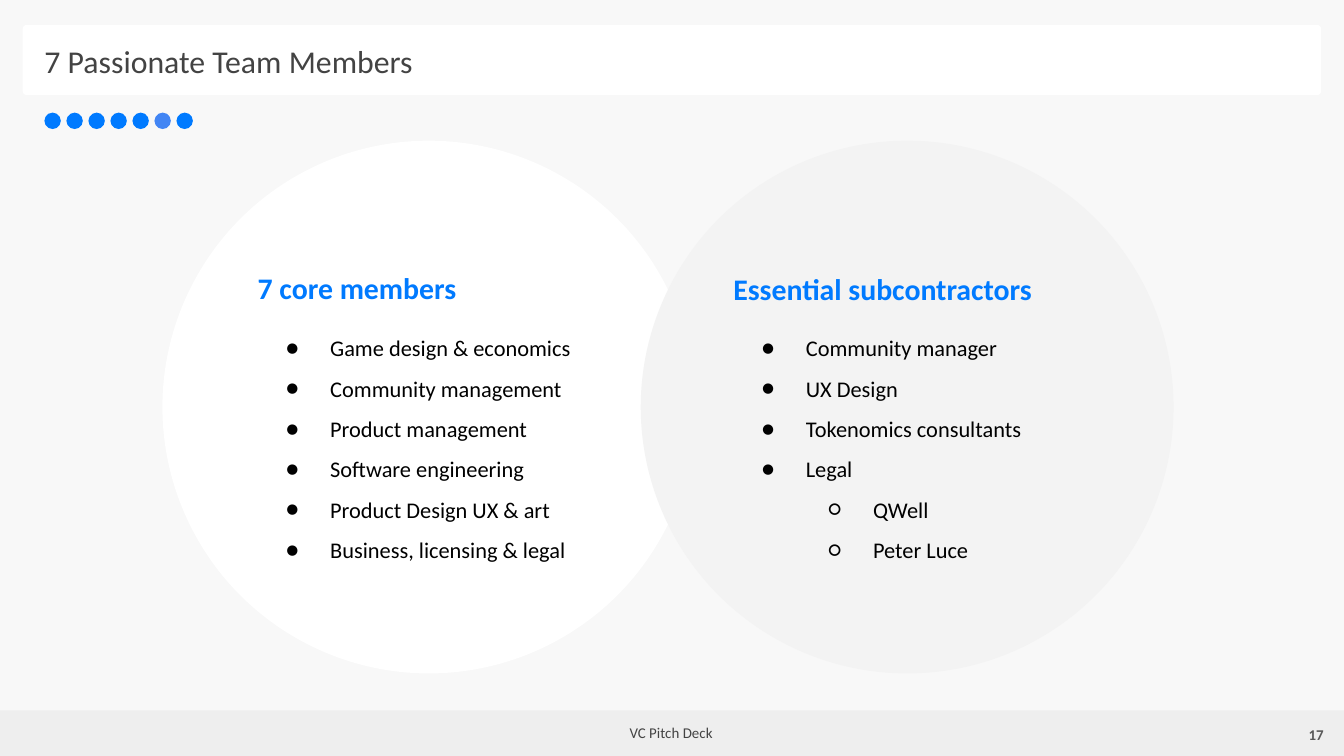
import pptx
import pptx.util
import pptx.dml.color
import pptx.enum.shapes
import pptx.enum.text
import pptx.oxml
import pptx.oxml.ns

Cm = pptx.util.Cm
Pt = pptx.util.Pt
Kind = pptx.enum.shapes.MSO_SHAPE
Align = pptx.enum.text.PP_ALIGN
Anchor = pptx.enum.text.MSO_ANCHOR

BLUE = "007AFF"
GREY = "434343"

CORE = ["Game design & economics", "Community management",
        "Product management", "Software engineering",
        "Product Design UX & art", "Business, licensing & legal"]
# Entries starting with a tab belong to the second level
SUBS = ["Community manager", "UX Design", "Tokenomics consultants",
        "Legal", "\tQWell", "\tPeter Luce"]


def color(code):
    return pptx.dml.color.RGBColor.from_string(code)


def shape(slide, kind, box, fill):
    """Add a plain filled shape."""
    item = slide.shapes.add_shape(kind, *map(Cm, box))
    item.shadow.inherit = False
    item.fill.solid()
    item.fill.fore_color.rgb = color(fill)
    item.line.fill.background()
    return item


def bullet(para, level):
    """Give a paragraph a black bullet with a hanging indent."""
    props = para._p.get_or_add_pPr()
    props.set("marL", str(Cm(1.27 * (level + 1))))
    props.set("indent", str(Cm(-0.84)))
    space = pptx.oxml.ns.nsdecls("a")
    for xml in (f'<a:buClr {space}><a:srgbClr val="000000"/></a:buClr>',
                f'<a:buFont {space} typeface="Calibri"/>',
                f'<a:buChar {space} char="{"●○"[level]}"/>'):
        props.append(pptx.oxml.parse_xml(xml))


def write(item, lines, box, size=12, code="000000", bold=False,
          align=Align.LEFT, anchor=Anchor.TOP, lead=1.0, after=0, marks=False):
    """Place a text holder and fill it with formatted paragraphs."""
    item.left, item.top, item.width, item.height = map(Cm, box)
    frame = item.text_frame
    frame.word_wrap = True
    frame.auto_size = pptx.enum.text.MSO_AUTO_SIZE.NONE
    frame.vertical_anchor = anchor
    frame.margin_left = frame.margin_right = Cm(0.25)
    frame.margin_top = frame.margin_bottom = Cm(0.25)
    for num, line in enumerate(lines):
        para = frame.add_paragraph() if num else frame.paragraphs[0]
        if marks:
            para.level = int(line.startswith("\t"))
            bullet(para, para.level)
        para.alignment = align
        para.line_spacing = lead
        para.space_before = Pt(0)
        para.space_after = Pt(after)
        run = para.add_run()
        run.text = line.strip()
        font = run.font
        font.name, font.size, font.bold = "Calibri", Pt(size), bold
        font.color.rgb = color(code)


def label(slide, line, box, **style):
    """Add a free text box."""
    item = slide.shapes.add_textbox(*map(Cm, box))
    write(item, [line], box, **style)


def group(head, body, name, lines, left, top):
    """Fill one heading and the list below it."""
    write(head, [name], (left, top, 8.33, 1.19), size=16, code=BLUE,
          bold=True, lead=1.15, after=12)
    write(body, lines, (left + 0.1, 5.82, 8, 4.88), lead=1.5, marks=True)


def main():
    deck = pptx.Presentation()
    deck.slide_width, deck.slide_height = Cm(25.4), Cm(14.29)
    slide = deck.slides.add_slide(deck.slide_layouts[4])
    slide.background.fill.solid()
    slide.background.fill.fore_color.rgb = color("F8F8F8")
    parts = list(slide.placeholders)

    # Circles, title panel and footer band
    for left, fill in ((3.07, "FFFFFF"), (12.11, "F3F3F3")):
        shape(slide, Kind.OVAL, (left, 2.66, 10.07, 10.07), fill)
    panel = shape(slide, Kind.ROUNDED_RECTANGLE,
                  (0.43, 0.47, 24.54, 1.33), "FFFFFF")
    panel.adjustments[0] = 0.06
    shape(slide, Kind.RECTANGLE, (0, 13.43, 25.4, 0.86), "EEEEEE")

    # One dot per team member
    for num in range(7):
        shape(slide, Kind.OVAL, (0.84 + num * 0.416, 2.13, 0.31, 0.31),
              "4285F4" if num == 5 else BLUE)

    # Title and lists, brought in front of the shapes
    for part in parts:
        slide.shapes._spTree.append(part._element)
    title, head, body, side, rest = parts
    write(title, ["7 Passionate Team Members"], (0.59, 0.53, 23.14, 1.17),
          size=17, code=GREY)
    group(head, body, "7 core members", CORE, 4.62, 4.75)
    group(side, rest, "Essential subcontractors", SUBS, 13.61, 4.77)

    # Footer
    label(slide, "VC Pitch Deck", (10.21, 13.43, 4.95, 0.86), size=8,
          code=GREY, align=Align.CENTER)
    label(slide, "17", (23.75, 13.34, 1.52, 1.09), size=8, code="595959",
          bold=True, align=Align.RIGHT, anchor=Anchor.MIDDLE)

    deck.save("out.pptx")


if __name__ == "__main__":
    main()
